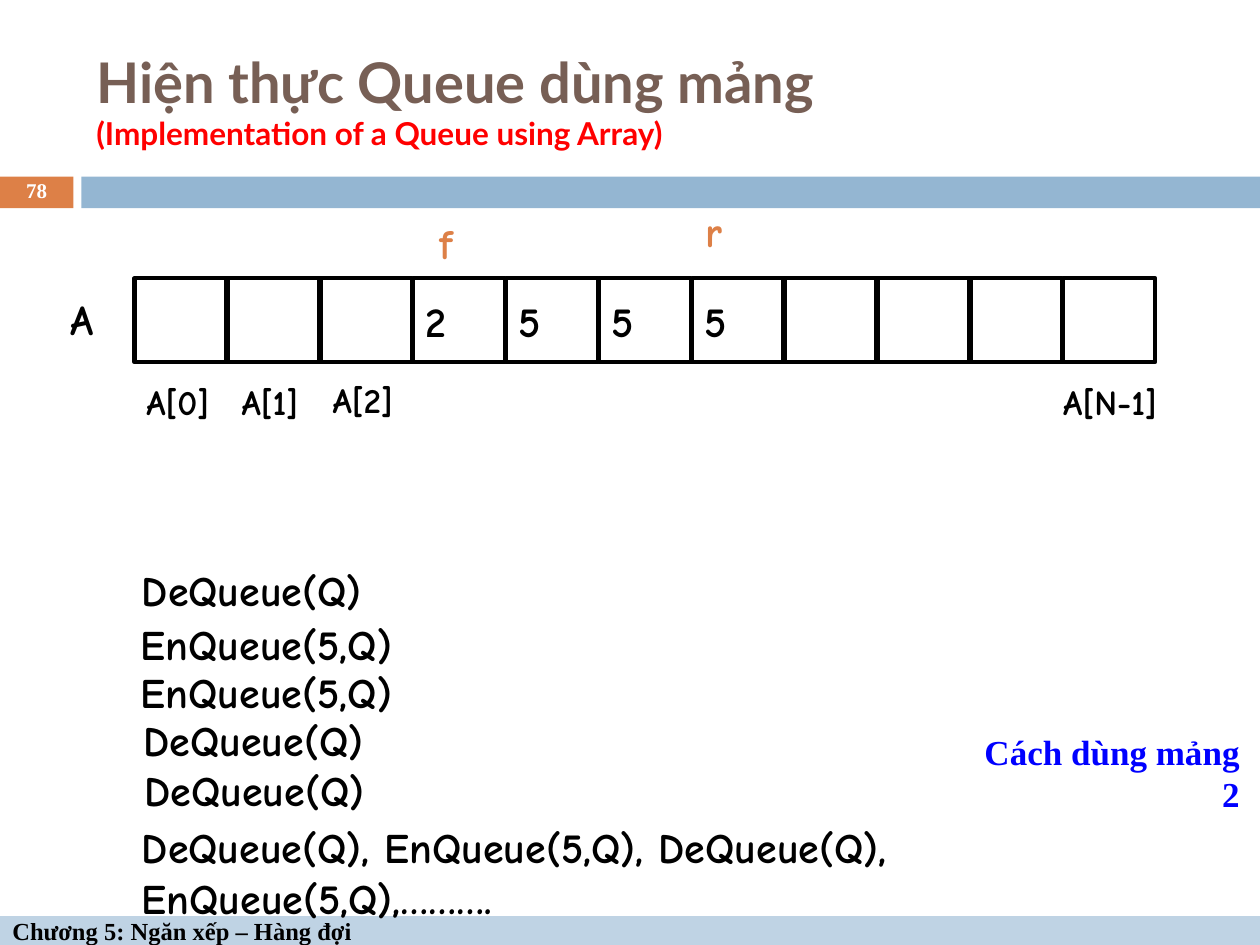
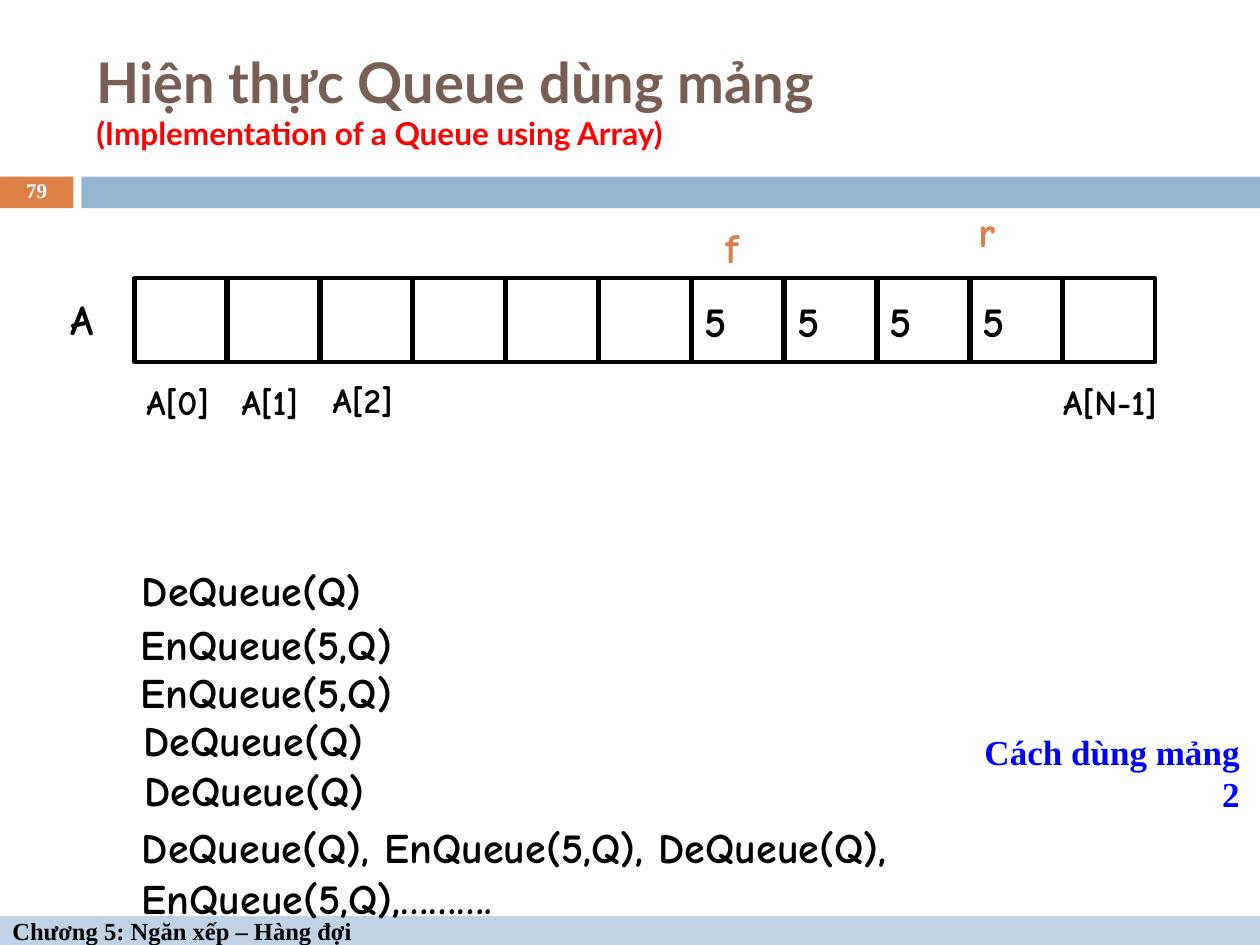
from dataclasses import dataclass

from pptx import Presentation
from pptx.dml.color import RGBColor
from pptx.enum import shapes, text
from pptx.util import Pt


@dataclass(frozen=True)
class Theme:
    """Colours, fonts and type sizes of the deck."""
    black: str = "000000"
    white: str = "FFFFFF"
    brown: str = "775F55"
    red: str = "FF0000"
    orange: str = "DD8047"
    blue: str = "94B6D2"
    pale: str = "BFD3E4"
    link: str = "0000FF"
    head: str = "Lato"
    hand: str = "Comic Neue"
    serif: str = "Times New Roman"
    title: int = 32
    sub: int = 18
    code: int = 24
    index: int = 20
    foot: int = 14
    page: int = 12
    edge: float = 2.5


T = Theme()
MID = text.MSO_ANCHOR.MIDDLE

# Content: boxes are left, top, width, height in points
TITLE = "Hiện thực Queue dùng mảng"
SUB = "(Implementation of a Queue using Array)"
FOOT = "Chương 5: Ngăn xếp – Hàng đợi"
NOTE = "Cách dùng mảng 2"
BANDS = [
    (T.orange, (0, 101, 42, 18)),
    (T.blue, (46.5, 101, 673.5, 18)),
    (T.pale, (0, 523.5, 720, 16.5)),
]
INDEX = [
    ("A[0]", (76.5, 214, 74, 31.5)),
    ("A[1]", (131, 214, 67, 31.5)),
    ("A[2]", (183, 213, 63, 31.5)),
    ("A[N-1]", (600.5, 214, 111, 31.5)),
]
STEPS = [
    ("DeQueue(Q)", (74, 319, 172, 36)),
    ("EnQueue(5,Q)", (73.5, 350, 233, 36)),
    ("EnQueue(5,Q)", (73.5, 377.5, 233, 36)),
    ("DeQueue(Q)", (75, 404.5, 177, 36)),
    ("DeQueue(Q)", (75.5, 433.5, 176.5, 36)),
    ("DeQueue(Q), EnQueue(5,Q), DeQueue(Q), EnQueue(5,Q),……….",
     (74, 466, 637, 65)),
]
# Page number, filled cells by index, places of the two markers
SLIDES = [
    (78, {3: "2", 4: "5", 5: "5", 6: "5"},
     {"f": (244, 121), "r": (396, 114)}),
    (79, {6: "5", 7: "5", 8: "5", 9: "5"},
     {"f": (407.5, 123), "r": (552, 114)}),
]
CELLS, LEFT, TOP, STEP, WIDE, HIGH = 11, 77, 159, 53.06, 52.5, 48


def style(run, font, size, color):
    """Set the face, size and colour of a bold run."""
    run.font.name, run.font.size, run.font.bold = font, Pt(size), True
    run.font.color.rgb = RGBColor.from_string(color)


def write(shape, words, font, size, color, anchor=None, before=0, align="LEFT"):
    """Put one styled paragraph in a shape and return the paragraph."""
    frame = shape.text_frame
    frame.text = words
    frame.word_wrap = True
    frame.vertical_anchor = anchor or text.MSO_ANCHOR.TOP
    para = frame.paragraphs[0]
    para.alignment = getattr(text.PP_ALIGN, align)
    para.space_before = Pt(before)
    for run in para.runs:
        style(run, font, size, color)
    return para


def rect(slide, box, fill=None, line=None):
    """Draw a flat rectangle with an optional fill and edge."""
    shape = slide.shapes.add_shape(
        shapes.MSO_SHAPE.RECTANGLE, *map(Pt, box))
    shape.shadow.inherit = False
    for part, color in ((shape.fill, fill), (shape.line.fill, line)):
        if color:
            part.solid()
            part.fore_color.rgb = RGBColor.from_string(color)
        else:
            part.background()
    if line:
        shape.line.width = Pt(T.edge)
    return shape


def label(slide, box, *args, **opts):
    """Add a text box holding one styled paragraph."""
    return write(slide.shapes.add_textbox(*map(Pt, box)), *args, **opts)


def hand(slide, words, box, size=T.code, color=T.black):
    """Add a handwritten label."""
    label(slide, box, words, T.hand, size, color, before=size * 0.625)


def frame(slide, page):
    """Draw the bands, footer, title and page number."""
    bars = [rect(slide, box, fill) for fill, box in BANDS]
    write(bars[-1], FOOT, T.serif, T.foot, T.black, MID)
    para = label(slide, (48, 18, 642, 78), f"{TITLE}\v{SUB}",
                 T.head, T.title, T.brown, MID)
    style(para.runs[-1], T.head, T.sub, T.red)
    para = label(slide, (0, 100, 42, 19.5), str(page),
                 T.serif, T.page, T.white, MID, align="CENTER")
    para.line_spacing = 0.8


def queue(slide, cells, marks):
    """Draw the array with its values, indexes and markers."""
    for i in range(CELLS):
        cell = rect(slide, (LEFT + i * STEP, TOP, WIDE, HIGH), line=T.black)
        if i in cells:
            write(cell, cells[i], T.hand, T.code, T.black, MID)
    hand(slide, "A", (33, 164, 55, 36))
    for words, box in INDEX:
        hand(slide, words, box, T.index)
    for words, spot in marks.items():
        hand(slide, words, (*spot, 52, 36), color=T.orange)


def main():
    """Build and save the deck."""
    deck = Presentation()
    deck.slide_width, deck.slide_height = Pt(720), Pt(540)
    for page, cells, marks in SLIDES:
        slide = deck.slides.add_slide(deck.slide_layouts[6])
        frame(slide, page)
        queue(slide, cells, marks)
        for words, box in STEPS:
            hand(slide, words, box)
        para = label(slide, (540.5, 414, 175, 31.5), NOTE,
                     T.serif, T.index, T.link, align="RIGHT")
        para.line_spacing = 1.0
    deck.save("out.pptx")


main()
